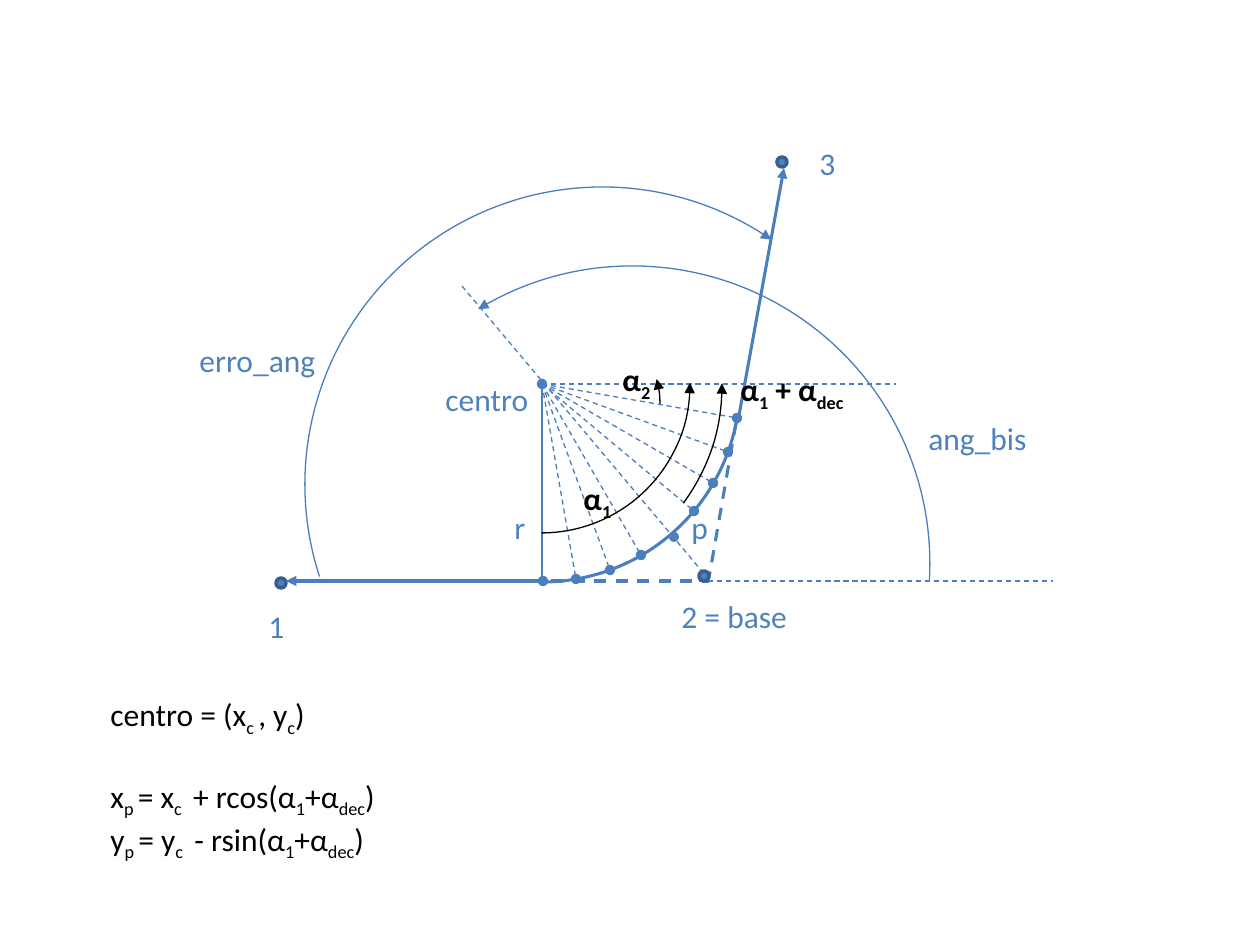
import math
import pptx
import pptx.util
import pptx.dml.color
import pptx.enum.shapes
import pptx.enum.dml
import pptx.oxml
import pptx.oxml.ns

BLUE = pptx.dml.color.RGBColor(0x4F, 0x81, 0xBD)
STROKE = pptx.dml.color.RGBColor(0x4B, 0x7E, 0xBC)
RIM = pptx.dml.color.RGBColor(0x3A, 0x5F, 0x8C)
BLACK = pptx.dml.color.RGBColor(0, 0, 0)
SHAPE = pptx.enum.shapes.MSO_SHAPE
THIN, THICK = 0.75, 1.75


def px(length):
    return round(length * 914400 / 126)


class Diagram:
    """Draws the elements of a geometry diagram on one slide."""

    def __init__(self, slide, font="Calibri", size=18):
        self.slide, self.font, self.size = slide, font, size

    def stroke(self, element, color, width, dash=False, head=None, tail=None):
        line = element.line
        line.color.rgb = color
        line.width = pptx.util.Pt(width)
        if dash:
            line.dash_style = pptx.enum.dml.MSO_LINE.DASH
        for tag, kind in (("a:headEnd", head), ("a:tailEnd", tail)):
            if kind:
                end = pptx.oxml.parse_xml(f'<{tag} {pptx.oxml.ns.nsdecls("a")} type="{kind}"/>')
                line._get_or_add_ln().append(end)

    def line(self, start, end, width=THIN, dash=False, head=None, tail=None):
        connector = self.slide.shapes.add_connector(
            pptx.enum.shapes.MSO_CONNECTOR.STRAIGHT, *map(px, start + end))
        self.stroke(connector, STROKE, width, dash, head, tail)
        effects = pptx.oxml.parse_xml(f'<a:effectLst {pptx.oxml.ns.nsdecls("a")}/>')
        connector._element.spPr.append(effects)

    def arc(self, left, top, size, start, end, color=STROKE, width=THIN, head=None, tail=None):
        arc = self.slide.shapes.add_shape(SHAPE.ARC, *map(px, (left, top, size, size)))
        arc.shadow.inherit = False
        arc.fill.background()
        for index, degrees in enumerate((start, end)):
            arc.adjustments[index] = degrees * 0.6
        self.stroke(arc, color, width, head=head, tail=tail)

    def dot(self, x, y, rim=True):
        dot = self.slide.shapes.add_shape(SHAPE.OVAL, *map(px, (x - 5, y - 5, 10, 10)))
        dot.shadow.inherit = False
        dot.fill.solid()
        dot.fill.fore_color.rgb = BLUE
        if rim:
            self.stroke(dot, RIM, 2)
        else:
            dot.line.fill.background()

    def text(self, left, top, width, lines, color=BLUE, bold=False, height=50):
        """Writes lines in which every second part between bars is a subscript."""
        box = self.slide.shapes.add_textbox(*map(px, (left, top, width, height)))
        frame = box.text_frame
        frame.word_wrap = True
        for number, content in enumerate(lines):
            paragraph = frame.add_paragraph() if number else frame.paragraphs[0]
            for index, part in enumerate(content.split("|")):
                run = paragraph.add_run()
                run.text = part
                run.font.name = self.font
                run.font.size = pptx.util.Pt(self.size)
                run.font.color.rgb = color
                run.font.bold = bold
                if index % 2:
                    run._r.get_or_add_rPr().set("baseline", "-25000")
        return frame


prs = pptx.Presentation()
prs.slide_width, prs.slide_height = px(1260), px(945)
diagram = Diagram(prs.slides.add_slide(prs.slide_layouts[6]))

centro = (542, 384)
radius = 198
base_y = 581

diagram.line((286, base_y), (543, base_y), THICK, head="triangle", tail="oval")
diagram.line((784, 168), (738, 421), THICK, head="triangle")
diagram.line((551, base_y), (709, base_y), THICK, dash=True)
diagram.line((736, 423), (709, 578), THICK, dash=True)
diagram.arc(344, 186, 396, 9.59, 89.77, width=THICK)
diagram.line((462, 286), (706, 576), dash=True)
diagram.line(centro, (542, 582), head="oval")

for degrees in (10, 20, 30, 40, 60, 70, 80):
    angle = math.radians(degrees)
    rim_point = (round(centro[0] + radius * math.cos(angle)),
                 round(centro[1] + radius * math.sin(angle)))
    diagram.line(centro, rim_point, dash=True, tail="oval")
diagram.line((699, base_y), (1053, base_y), dash=True)
diagram.line(centro, (896, 384), dash=True)

for point in ((704, 576), (782, 162), (281, 583)):
    diagram.dot(*point)
diagram.dot(674, 537, rim=False)

diagram.arc(305, 187, 595, 161.96, 304.62, tail="triangle")
diagram.arc(335, 266, 595, 238.75, 3.18, head="triangle")
for left, top, size, start, end in (
        (393, 236, 297, 359.37, 90.04),
        (462, 305, 198, 345.4, 0),
        (325, 187, 397, 359.37, 36.31)):
    diagram.arc(left, top, size, start, end, BLACK, head="triangle")

for label, left, top, width in (
        ("centro", 433, 374, 118), ("r", 502, 502, 39), ("p", 679, 502, 39),
        ("1", 256, 601, 39), ("2 = base", 669, 591, 197), ("3", 807, 138, 39),
        ("erro_ang", 187, 335, 158), ("ang_bis", 916, 413, 129)):
    diagram.text(left, top, width, [label])

for label, left, top, width in (
        ("α|1", 571, 473, 59), ("α|2", 610, 354, 59), ("α|1| + α|dec", 728, 364, 207)):
    diagram.text(left, top, width, [label], BLACK, bold=True)

formulas = diagram.text(98, 689, 532, [
    "centro = (x|c |, y|c|)",
    "x|p |= x|c | + rcos(α|1|+α|dec|)",
    "y|p |= y|c | - rsin(α|1|+α|dec|)"], BLACK, height=280)
formulas.paragraphs[1].space_before = pptx.util.Pt(22)

prs.save("out.pptx")
